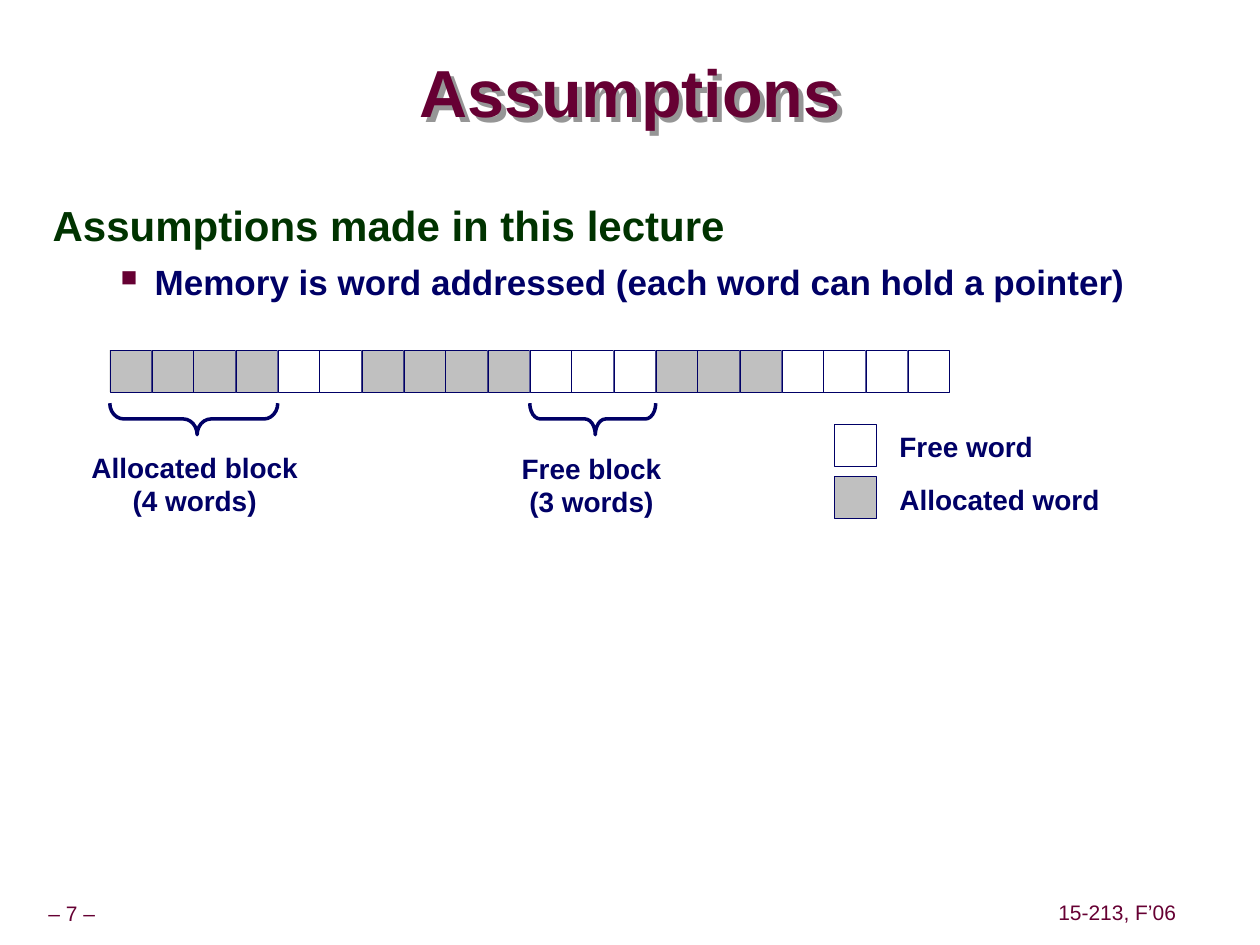
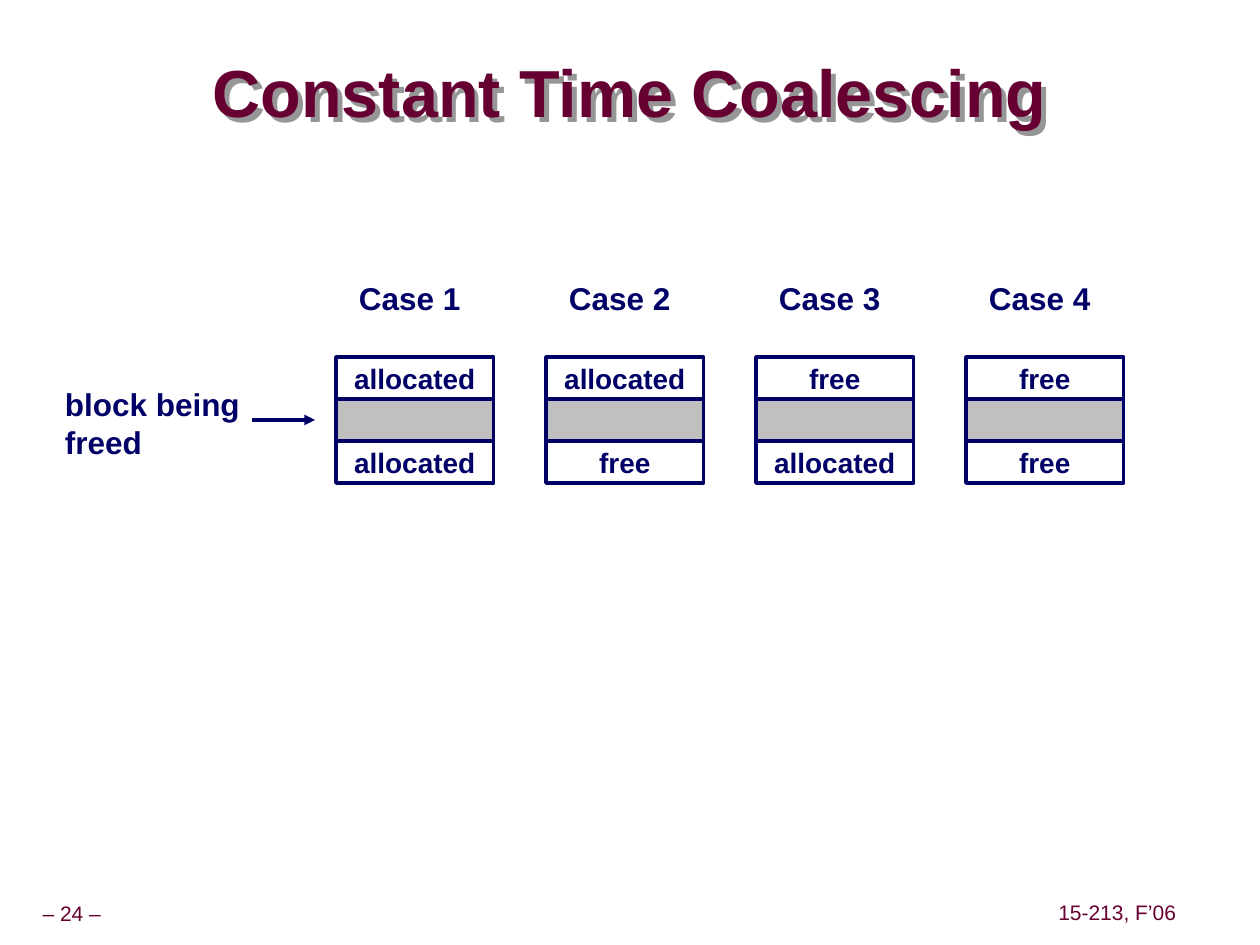
import pptx
import pptx.util
import pptx.dml.color
import pptx.enum.shapes
import pptx.enum.text
import pptx.oxml
import pptx.oxml.ns

Pt = pptx.util.Pt
RGB = pptx.dml.color.RGBColor
SHAPE = pptx.enum.shapes.MSO_SHAPE
ALIGN = pptx.enum.text.PP_ALIGN
ANCHOR = pptx.enum.text.MSO_ANCHOR

# Content
COURSE = "15-213, F’06"
HEAD = "Assumptions made in this lecture"
POINT = "Memory is word addressed (each word can hold a pointer)"
RUNS = [("used", 4), ("free", 2), ("used", 4), ("free", 3),
        ("used", 3), ("free", 4)]
# first word, word count, brace radius, label, label left, top, width
BLOCKS = [(0, 4, 0.44, "Allocated block\n(4 words)", 44, 253.8, 134.5),
          (10, 3, 0.33, "Free block\n(3 words)", 289.8, 254.2, 96.3)]
LEGEND = [("free", "Free word", 94), ("used", "Allocated word", 132)]
CASES = [("allocated", "allocated"), ("allocated", "free"),
         ("free", "allocated"), ("free", "free")]

# Shared look
FONT = "Arial"
WINE = RGB(0x66, 0x00, 0x33)
NAVY = RGB(0x00, 0x00, 0x66)
GREEN = RGB(0x00, 0x33, 0x00)
WHITE = RGB(0xFF, 0xFF, 0xFF)
GRAY = RGB(0xC0, 0xC0, 0xC0)
FILLS = {"used": GRAY, "free": WHITE}
WORD = 24
NS = pptx.oxml.ns.nsdecls("a")
SHADE = (f'<a:effectLst {NS}><a:outerShdw dist="{Pt(4)}" dir="2700000" '
         'algn="ctr" rotWithShape="0"><a:srgbClr val="969696"/>'
         '</a:outerShdw></a:effectLst>')


def attach(node, xml):
    node.append(pptx.oxml.parse_xml(xml))


def style(para, size, color, bold=True):
    font = para.font
    font.name, font.size, font.bold = FONT, Pt(size), bold
    font.color.rgb = color


def write(shape, text, size, color=NAVY, bold=True, align=ALIGN.LEFT,
          anchor=ANCHOR.TOP, pad=(7.2, 3.6), wrap=False):
    frame = shape.text_frame
    frame.word_wrap = wrap
    frame.vertical_anchor = anchor
    frame.margin_left = frame.margin_right = Pt(pad[0])
    frame.margin_top = frame.margin_bottom = Pt(pad[1])
    for i, line in enumerate(text.split("\n")):
        para = frame.add_paragraph() if i else frame.paragraphs[0]
        para.text = line
        para.alignment = align
        style(para, size, color, bold)


def label(slide, box, text, size, **look):
    shape = slide.shapes.add_textbox(*map(Pt, box))
    write(shape, text, size, **look)
    return shape


def block(slide, box, fill, width, kind=SHAPE.RECTANGLE):
    shape = slide.shapes.add_shape(kind, *map(Pt, box))
    shape.shadow.inherit = False
    if fill is None:
        shape.fill.background()
    else:
        shape.fill.solid()
        shape.fill.fore_color.rgb = fill
    shape.line.color.rgb = NAVY
    shape.line.width = Pt(width)
    return shape


def page(deck, title, number):
    slide = deck.slides.add_slide(deck.slide_layouts[6])
    small = dict(color=WINE, bold=False, align=ALIGN.CENTER,
                 anchor=ANCHOR.MIDDLE, pad=(3.6, 3.6))
    for box, text in [((0, 512.6, 82, 20.2), f"– {number} –"),
                      ((601, 511.9, 74.9, 20.2), COURSE)]:
        foot = label(slide, box, text, 12, **small)
        foot.text_frame.paragraphs[0].line_spacing = 0.9
    head = label(slide, (83.5, 32.6, 553, 45.4), title, 38, color=WINE,
                 align=ALIGN.CENTER, anchor=ANCHOR.MIDDLE, pad=(0, 0))
    head.text_frame.paragraphs[0].line_spacing = 0.87
    attach(head.element.spPr, SHADE)
    return slide


def memory(deck):
    slide = page(deck, "Assumptions", 7)

    # Heading and bullet
    body = label(slide, (23, 96.5, 654.5, 411.1), HEAD, 24,
                 color=GREEN, wrap=True)
    frame = body.text_frame
    frame.margin_top = Pt(17.3)
    para = frame.add_paragraph()
    para.text = POINT
    para.space_before = Pt(6.2)
    props = para._p.get_or_add_pPr()
    props.set("marL", str(Pt(58.3)))
    props.set("indent", str(-Pt(19.4)))
    attach(props, f'<a:buClr {NS}><a:srgbClr val="{WINE}"/></a:buClr>')
    attach(props, f'<a:buSzPct {NS} val="65000"/>')
    attach(props, f'<a:buChar {NS} char="■"/>')
    style(para, 20, NAVY)

    # Row of words
    left, top = 62.7, 200
    words = [kind for kind, count in RUNS for _ in range(count)]
    for i, kind in enumerate(words):
        block(slide, (left + i * WORD, top, WORD, WORD), FILLS[kind], 0.25)

    # Braces turned to point down, with their labels
    deep, y = 18, 230.4
    for first, count, curve, text, x, at, wide in BLOCKS:
        span = count * WORD
        mid = left + first * WORD + span / 2
        box = (mid - deep / 2, y + deep / 2 - span / 2, deep, span)
        brace = block(slide, box, None, 2, SHAPE.RIGHT_BRACE)
        brace.rotation = 90
        brace.adjustments[0] = curve
        brace.adjustments[1] = 0.48
        label(slide, (x, at, wide, 46), text, 16, align=ALIGN.CENTER)

    # Legend
    for i, (kind, text, wide) in enumerate(LEGEND):
        y = 242.2 + i * 30
        block(slide, (476.7, y, WORD, WORD), FILLS[kind], 0.25)
        label(slide, (506.9, y, wide, 26.6), text, 16, wrap=True)


def cases(deck):
    slide = page(deck, "Constant Time Coalescing", 24)

    # One stack of three blocks per case
    left, top, step, wide = 192, 204, 120, 90
    for i, (above, below) in enumerate(CASES):
        x = left + i * step
        block(slide, (x, top + WORD, wide, WORD), GRAY, 2)
        for row, text in [(0, above), (2, below)]:
            cell = block(slide, (x, top + row * WORD, wide, WORD), WHITE, 2)
            write(cell, text, 16, align=ALIGN.CENTER, anchor=ANCHOR.MIDDLE)
        label(slide, (x + 6, 156, 80, 28.8), f"Case {i + 1}", 18, wrap=True)

    # Pointer to the middle row
    label(slide, (30, 216.5, 118, 50.4), "block being\nfreed", 18, wrap=True)
    y = top + 1.5 * WORD
    arrow = slide.shapes.add_connector(
        pptx.enum.shapes.MSO_CONNECTOR.STRAIGHT,
        Pt(144), Pt(y), Pt(180), Pt(y))
    arrow.line.color.rgb = NAVY
    arrow.line.width = Pt(2)
    attach(arrow.line._get_or_add_ln(), f'<a:tailEnd {NS} type="triangle"/>')
    attach(arrow.element.spPr, f'<a:effectLst {NS}/>')


def main():
    deck = pptx.Presentation()
    deck.slide_width, deck.slide_height = Pt(720), Pt(540)
    memory(deck)
    cases(deck)
    deck.save("out.pptx")


if __name__ == "__main__":
    main()
